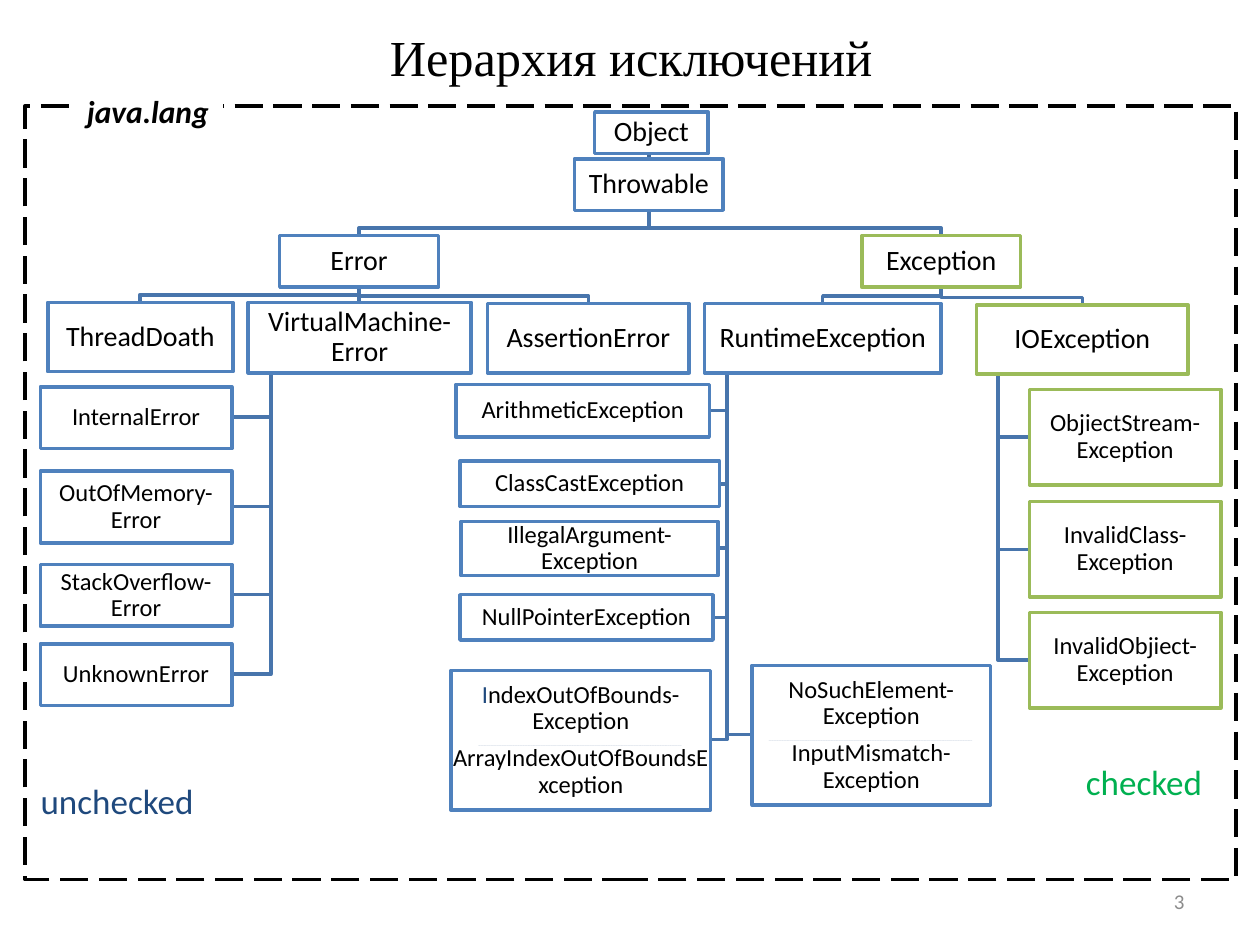
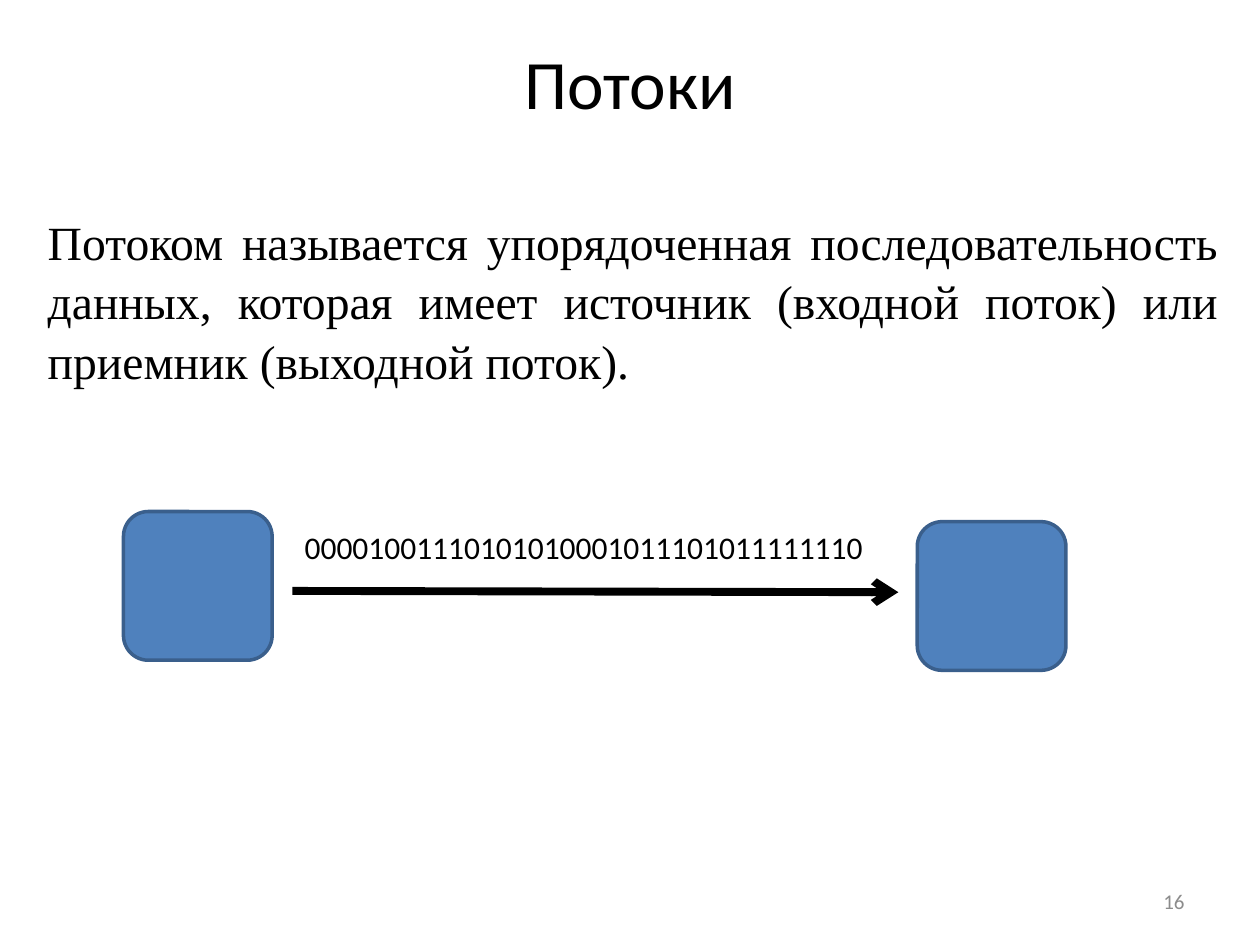
from pptx import Presentation
from pptx.dml.color import RGBColor
from pptx.enum.dml import MSO_LINE
from pptx.enum.shapes import MSO_CONNECTOR, MSO_SHAPE
from pptx.enum.text import MSO_ANCHOR, PP_ALIGN
from pptx.oxml.ns import qn
from pptx.util import Pt
from lxml import etree

PX = 9144
RECTANGLE, ROUNDED = MSO_SHAPE.RECTANGLE, MSO_SHAPE.ROUNDED_RECTANGLE
STRAIGHT, LONG_DASH = MSO_CONNECTOR.STRAIGHT, MSO_LINE.LONG_DASH
LEFT, CENTER = PP_ALIGN.LEFT, PP_ALIGN.CENTER
RIGHT, JUSTIFY = PP_ALIGN.RIGHT, PP_ALIGN.JUSTIFY
TOP, MIDDLE = MSO_ANCHOR.TOP, MSO_ANCHOR.MIDDLE
BLACK = RGBColor(0x00, 0x00, 0x00)
WHITE = RGBColor(0xFF, 0xFF, 0xFF)
GRAY = RGBColor(0x8C, 0x8C, 0x8C)
BLUE = RGBColor(0x4F, 0x81, 0xBD)
BLUE_EDGE = RGBColor(0x3A, 0x5F, 0x8C)
BRANCH_BLUE = RGBColor(0x48, 0x75, 0xAC)
ROOT_BLUE = RGBColor(0x3F, 0x67, 0x97)
NAVY = RGBColor(0x1F, 0x49, 0x7D)
OLIVE = RGBColor(0x9B, 0xBB, 0x59)
GREEN = RGBColor(0x00, 0xB0, 0x50)
SANS, SERIF = "Calibri", "Times New Roman"
DIVIDER = "_" * 245
BEND = 6

CLASSES = {
    "Object": (472, 89, 90, 33, BLUE),
    "Throwable": (456, 126, 118, 41, BLUE),
    "Error": (222, 187, 126, 41, BLUE),
    "Exception": (684, 187, 126, 41, OLIVE),
    "ThreadDoath": (38, 240, 147, 55, BLUE),
    "VirtualMachine-Error": (197, 240, 177, 56, BLUE),
    "AssertionError": (387, 241, 160, 55, BLUE),
    "RuntimeException": (559, 241, 188, 55, BLUE),
    "IOException": (775, 242, 168, 55, OLIVE),
}
SUBCLASSES = {
    "Object": ["Throwable"],
    "Throwable": ["Error", "Exception"],
    "Error": ["ThreadDoath", "VirtualMachine-Error", "AssertionError"],
    "Exception": ["RuntimeException", "IOException"],
}
LEAVES = {
    "VirtualMachine-Error": (215, BLUE, {
        "InternalError": (32, 307, 152, 49),
        "OutOfMemory-Error": (32, 374, 152, 57),
        "StackOverflow-Error": (32, 448, 152, 49),
        "UnknownError": (32, 511, 152, 49),
    }),
    "RuntimeException": (577, BLUE, {
        "ArithmeticException": (362, 305, 201, 42),
        "ClassCastException": (365, 366, 206, 36),
        "IllegalArgument-Exception": (366, 414, 204, 43),
        "NullPointerException": (365, 472, 201, 36),
        "IndexOutOfBounds-Exception\nArrayIndexOutOfBoundsException":
            (358, 532, 206, 111),
        "NoSuchElement-Exception\nInputMismatch-Exception":
            (597, 528, 189, 111),
    }),
    "IOException": (792, OLIVE, {
        "ObjiectStream-Exception": (817, 309, 152, 76),
        "InvalidClass-Exception": (817, 398, 152, 76),
        "InvalidObjiect-Exception": (817, 486, 152, 76),
    }),
}


class Deck:
    def __init__(self):
        self.presentation = Presentation()
        self.presentation.slide_width = 1000 * PX
        self.presentation.slide_height = 750 * PX
        self.slide = None

    def start_slide(self, title, title_box, title_size, title_font, number):
        self.slide = self.presentation.slides.add_slide(
            self.presentation.slide_layouts[6])
        self.text(title, title_box, title_size, font=title_font,
                  align=CENTER, anchor=MIDDLE)
        self.text(number, (717, 695, 233, 40), 12, GRAY,
                  align=RIGHT, anchor=MIDDLE)

    def set_text(self, shape, content, size, color=BLACK, font=SANS,
                 align=LEFT, anchor=TOP):
        frame = shape.text_frame
        frame.text = content
        frame.word_wrap = True
        frame.vertical_anchor = anchor
        for paragraph in frame.paragraphs:
            paragraph.alignment = align
            for run in paragraph.runs:
                run.font.size = Pt(size)
                run.font.name = font
                run.font.color.rgb = color
        return frame

    def text(self, content, box, size, color=BLACK, **style):
        shape = self.slide.shapes.add_textbox(*(PX * length for length in box))
        return self.set_text(shape, content, size, color, **style)

    def shape(self, box, fill=None, line=None, kind=RECTANGLE):
        shape = self.slide.shapes.add_shape(
            kind, *(PX * length for length in box))
        self.paint(shape, fill, line)
        return shape

    def paint(self, shape, fill, line):
        shape.shadow.inherit = False
        if fill is None:
            shape.fill.background()
        else:
            shape.fill.solid()
            shape.fill.fore_color.rgb = fill
        if line is None:
            shape.line.fill.background()
        else:
            shape.line.color.rgb = line
            shape.line.width = Pt(2)

    def polyline(self, points, color):
        builder = self.slide.shapes.build_freeform(*points[0], scale=PX)
        builder.add_line_segments(points[1:], close=False)
        self.paint(builder.convert_to_shape(), None, color)

    def arrow(self, start, end, color, width):
        connector = self.slide.shapes.add_connector(
            STRAIGHT, *(PX * length for length in (*start, *end)))
        connector.line.color.rgb = color
        connector.line.width = Pt(width)
        properties = connector._element.spPr
        line = properties.find(qn("a:ln"))
        etree.SubElement(line, qn("a:tailEnd"), type="arrow")
        etree.SubElement(properties, qn("a:effectLst"))

    def branch(self, parent, child, color):
        parent_left, parent_top, parent_width, parent_height = parent
        child_left, child_top, child_width, _ = child
        start_x = parent_left + parent_width // 2
        start_y = parent_top + parent_height
        end_x = child_left + child_width // 2
        bend_y = max(start_y, child_top - BEND)
        self.polyline([(start_x, start_y), (start_x, bend_y),
                       (end_x, bend_y), (end_x, child_top)], color)

    def rail(self, rail_x, parent, child):
        left, top, width, height = child
        end_x = left if left > rail_x else left + width
        end_y = top + height // 2
        self.polyline([(rail_x, parent[1] + parent[3]), (rail_x, end_y),
                       (end_x, end_y)], BRANCH_BLUE)

    def tight(self, frame):
        frame.margin_left = frame.margin_right = PX
        frame.margin_top = frame.margin_bottom = PX
        for paragraph in frame.paragraphs:
            paragraph.line_spacing = 0.9

    def class_box(self, name, box, line, size):
        content = name.replace("\n", f"\n{DIVIDER}\n")
        frame = self.set_text(self.shape(box, WHITE, line), content, size,
                              align=CENTER, anchor=MIDDLE)
        self.tight(frame)
        if "\n" in name:
            first, divider, _ = frame.paragraphs
            first.space_after = Pt(5)
            divider.runs[0].font.size = Pt(1)
            divider.runs[0].font.color.rgb = NAVY
        return frame

    def caption(self, content, box, color):
        self.tight(self.text(content, box, 20, color,
                             align=CENTER, anchor=MIDDLE))


def build_hierarchy(deck):
    deck.start_slide("Иерархия исключений", (51, 13, 900, 63), 28.8, SERIF, "3")
    deck.shape((20, 84, 961, 614), line=BLACK).line.dash_style = LONG_DASH

    for parent, children in SUBCLASSES.items():
        color = ROOT_BLUE if parent == "Object" else BRANCH_BLUE
        for child in children:
            deck.branch(CLASSES[parent][:4], CLASSES[child][:4], color)
    for parent, (rail_x, _, leaves) in LEAVES.items():
        for box in leaves.values():
            deck.rail(rail_x, CLASSES[parent], box)

    for name, (*box, line) in CLASSES.items():
        deck.class_box(name, box, line, 16)
    for _, line, leaves in LEAVES.values():
        for name, box in leaves.items():
            frame = deck.class_box(name, box, line, 14)
            if name.startswith("IndexOut"):
                run = frame.paragraphs[0].runs[0]
                run.text = "I"
                rest = frame.paragraphs[0].add_run()
                rest.text = "ndexOutOfBounds-Exception"
                rest.font.size = run.font.size
                rest.font.name = SANS
                rest.font.color.rgb = BLACK
                run.font.color.rgb = NAVY

    deck.caption("unchecked", (28, 607, 130, 61), NAVY)
    deck.caption("checked", (843, 592, 130, 61), GREEN)
    label = deck.set_text(deck.shape((59, 68, 118, 40), WHITE), "java.lang", 18)
    label.word_wrap = False
    font = label.paragraphs[0].runs[0].font
    font.bold = font.italic = True


def build_streams(deck):
    deck.start_slide("Потоки", (50, 30, 900, 69), 39.6, SANS, "16")
    definition = deck.text(
        "Потоком называется упорядоченная последовательность данных, которая "
        "имеет источник (входной поток) или приемник (выходной поток).",
        (28, 162, 949, 145), 27.2, font=SERIF, align=JUSTIFY)
    definition.paragraphs[0].line_spacing = 1.04
    definition.paragraphs[0].space_before = Pt(3)
    deck.arrow((232, 469), (713, 470), BLACK, 4.5)
    deck.text("00001001110101010001011101011111110", (232, 414, 480, 40), 18)
    for left, top in ((98, 406), (728, 414)):
        deck.shape((left, top, 118, 118), BLUE, BLUE_EDGE, ROUNDED)


def main():
    deck = Deck()
    build_hierarchy(deck)
    build_streams(deck)
    deck.presentation.save("out.pptx")


if __name__ == "__main__":
    main()
